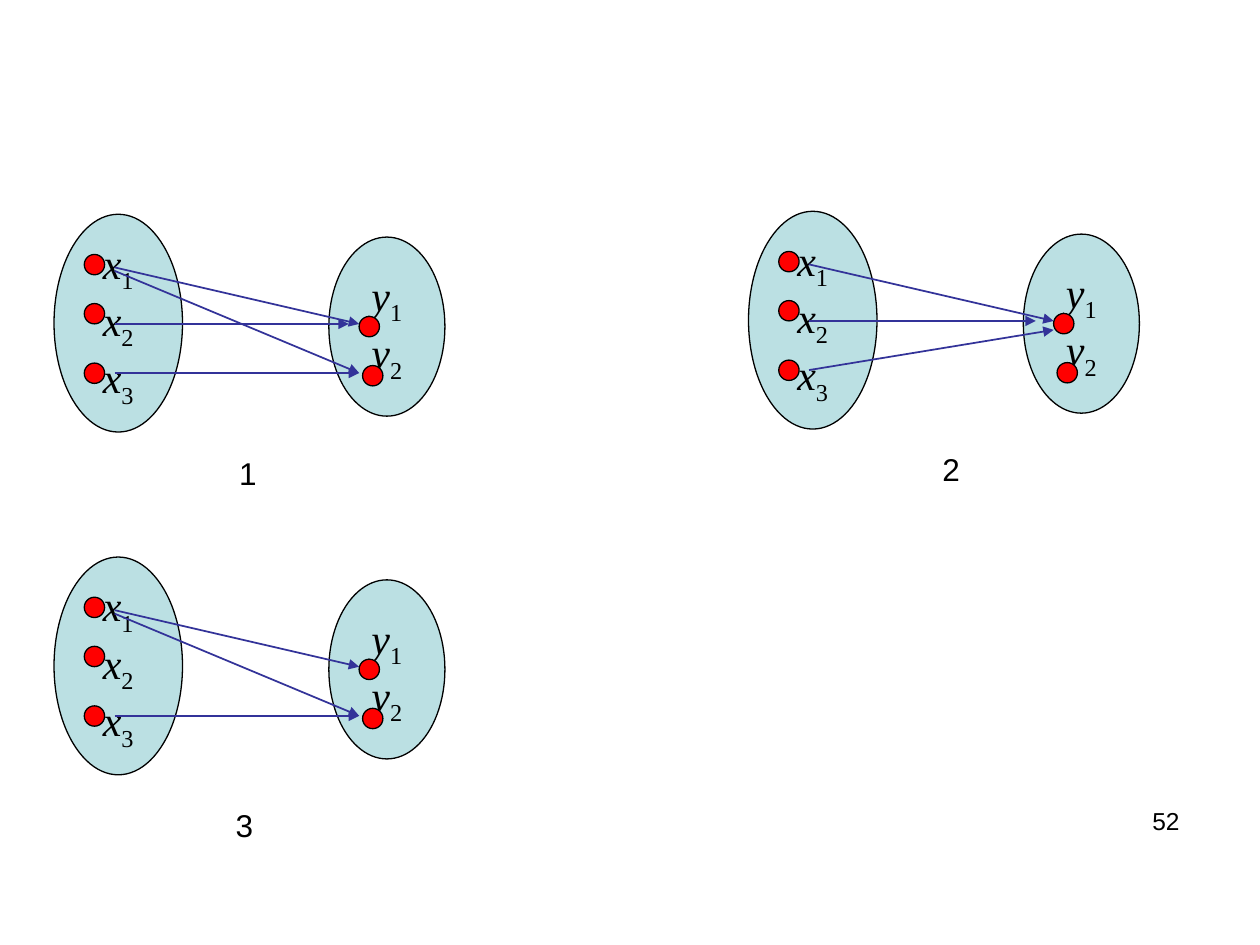
"""Build a slide with three mapping diagrams between the sets x and y."""
from dataclasses import dataclass

import pptx
import pptx.dml.color
import pptx.enum.shapes
import pptx.enum.text
import pptx.oxml
import pptx.oxml.ns
import pptx.util

Cm = pptx.util.Cm
Pt = pptx.util.Pt
RGBColor = pptx.dml.color.RGBColor
PP_ALIGN = pptx.enum.text.PP_ALIGN
MSO_ANCHOR = pptx.enum.text.MSO_ANCHOR

BLACK = RGBColor(0x00, 0x00, 0x00)
SET_FILL = RGBColor(0xBB, 0xE0, 0xE3)
DOT_FILL = RGBColor(0xFF, 0x00, 0x00)
ARROW = RGBColor(0x33, 0x33, 0x99)

DOT_SIZE = 0.41
DOTS = [(0.61, 0.81), (0.61, 1.8), (0.61, 3), (6.15, 2.06), (6.22, 3.05)]
X1_Y1 = (1.22, 1.07, 6.15, 2.21)
X1_Y2 = (1.22, 1.14, 6.15, 3.2)
X3_Y1 = (1.22, 3.2, 6.15, 2.39)
X3_Y2 = (1.22, 3.2, 6.15, 3.2)


@dataclass(frozen=True)
class Mapping:
    """One diagram: its origin, label position and arrows, in centimetres."""

    label: str
    left: float
    top: float
    label_left: float
    label_top: float
    arrows: tuple[tuple[float, float, float, float], ...]


MAPPINGS = [
    Mapping("1", 1.09, 4.32, 4.57, 9.02,
            (X1_Y1, (1.22, 2.21, 5.94, 2.21), X3_Y2, X1_Y2)),
    Mapping("2", 15.09, 4.26, 18.75, 8.94,
            (X1_Y1, (1.22, 2.21, 5.79, 2.21), X3_Y1)),
    Mapping("3", 1.09, 11.23, 4.5, 16.13, (X1_Y1, X3_Y2, X1_Y2)),
]


def add_run(p, text: str, *, size: float, font: str = "Arial",
            italic: bool = False, subscript: bool = False) -> None:
    """Append a black run of text to a paragraph."""
    r = p.add_run()
    r.text = text
    r.font.size = Pt(size)
    r.font.name = font
    r.font.italic = italic
    r.font.color.rgb = BLACK
    if subscript:
        r.font._element.set("baseline", "-25000")


def add_label(s, text: str, left: float, top: float, width: float, height: float,
              size: float, align: PP_ALIGN = PP_ALIGN.LEFT) -> None:
    """Add a text box holding one line."""
    tf = s.shapes.add_textbox(Cm(left), Cm(top), Cm(width), Cm(height)).text_frame
    tf.word_wrap = True
    p = tf.paragraphs[0]
    p.alignment = align
    add_run(p, text, size=size)


def add_ellipse(s, left: float, top: float, width: float, height: float,
                fill: RGBColor):
    """Add a filled ellipse with a thin black outline."""
    sp = s.shapes.add_shape(pptx.enum.shapes.MSO_SHAPE.OVAL,
                            Cm(left), Cm(top), Cm(width), Cm(height))
    sp.shadow.inherit = False
    sp.fill.solid()
    sp.fill.fore_color.rgb = fill
    sp.line.color.rgb = BLACK
    sp.line.width = Pt(0.75)
    return sp


def add_set(s, left: float, top: float, width: float, height: float,
            letter: str, count: int) -> None:
    """Add an ellipse listing the numbered elements of a set."""
    tf = add_ellipse(s, left, top, width, height, SET_FILL).text_frame
    tf.word_wrap = False
    tf.vertical_anchor = MSO_ANCHOR.MIDDLE
    for i in range(1, count + 1):
        p = tf.paragraphs[0] if i == 1 else tf.add_paragraph()
        p.alignment = PP_ALIGN.CENTER
        add_run(p, letter, size=24, font="Times New Roman", italic=True)
        add_run(p, str(i), size=24, font="Times New Roman", subscript=True)


def add_arrow(s, x1: float, y1: float, x2: float, y2: float) -> None:
    """Add a straight arrow with a triangular head at its end."""
    sp = s.shapes.add_connector(pptx.enum.shapes.MSO_CONNECTOR.STRAIGHT,
                                Cm(x1), Cm(y1), Cm(x2), Cm(y2))
    sp.line.color.rgb = ARROW
    sp.line.width = Pt(1)
    ns = pptx.oxml.ns.nsdecls("a")
    sp.line._get_or_add_ln().append(
        pptx.oxml.parse_xml(f'<a:tailEnd {ns} type="triangle"/>'))
    sp._element.spPr.append(pptx.oxml.parse_xml(f"<a:effectLst {ns}/>"))


def add_mapping(s, m: Mapping) -> None:
    """Draw both sets, the dots, the arrows and the label of a mapping."""
    add_set(s, m.left, m.top, 2.59, 4.39, "x", 3)
    add_set(s, m.left + 5.54, m.top + 0.46, 2.34, 3.61, "y", 2)
    for x, y in DOTS:
        add_ellipse(s, m.left + x, m.top + y, DOT_SIZE, DOT_SIZE, DOT_FILL)
    for x1, y1, x2, y2 in m.arrows:
        add_arrow(s, m.left + x1, m.top + y1, m.left + x2, m.top + y2)
    add_label(s, m.label, m.label_left, m.label_top, 1.8, 1.02, 18)


def main() -> None:
    """Create and save the presentation."""
    prs = pptx.Presentation()
    prs.slide_width, prs.slide_height = Cm(25.4), Cm(19.05)
    s = prs.slides.add_slide(prs.slide_layouts[6])
    add_label(s, "52", 18.11, 16.13, 5.92, 1.32, 14, PP_ALIGN.RIGHT)
    for m in MAPPINGS:
        add_mapping(s, m)
    prs.save("out.pptx")


if __name__ == "__main__":
    main()
